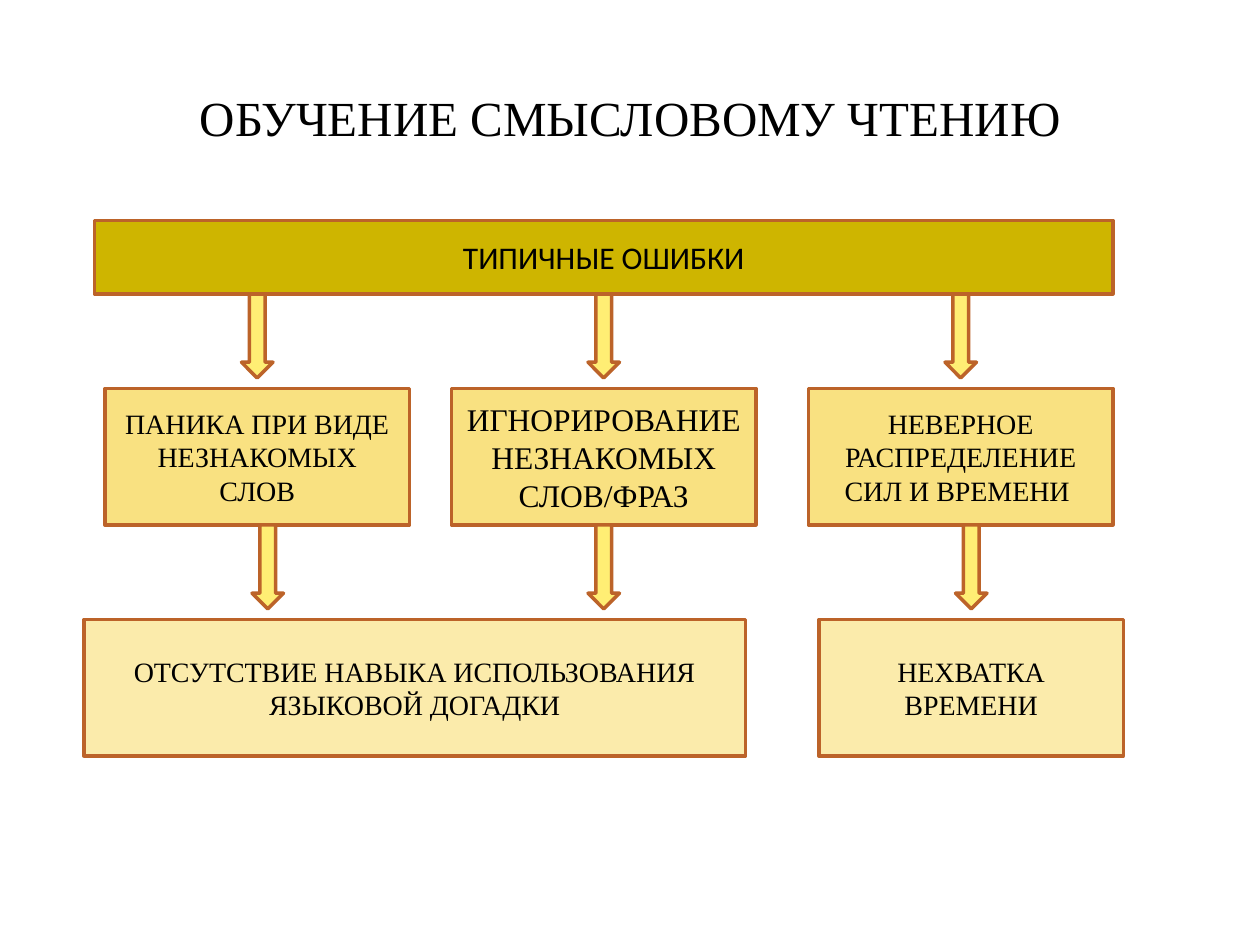
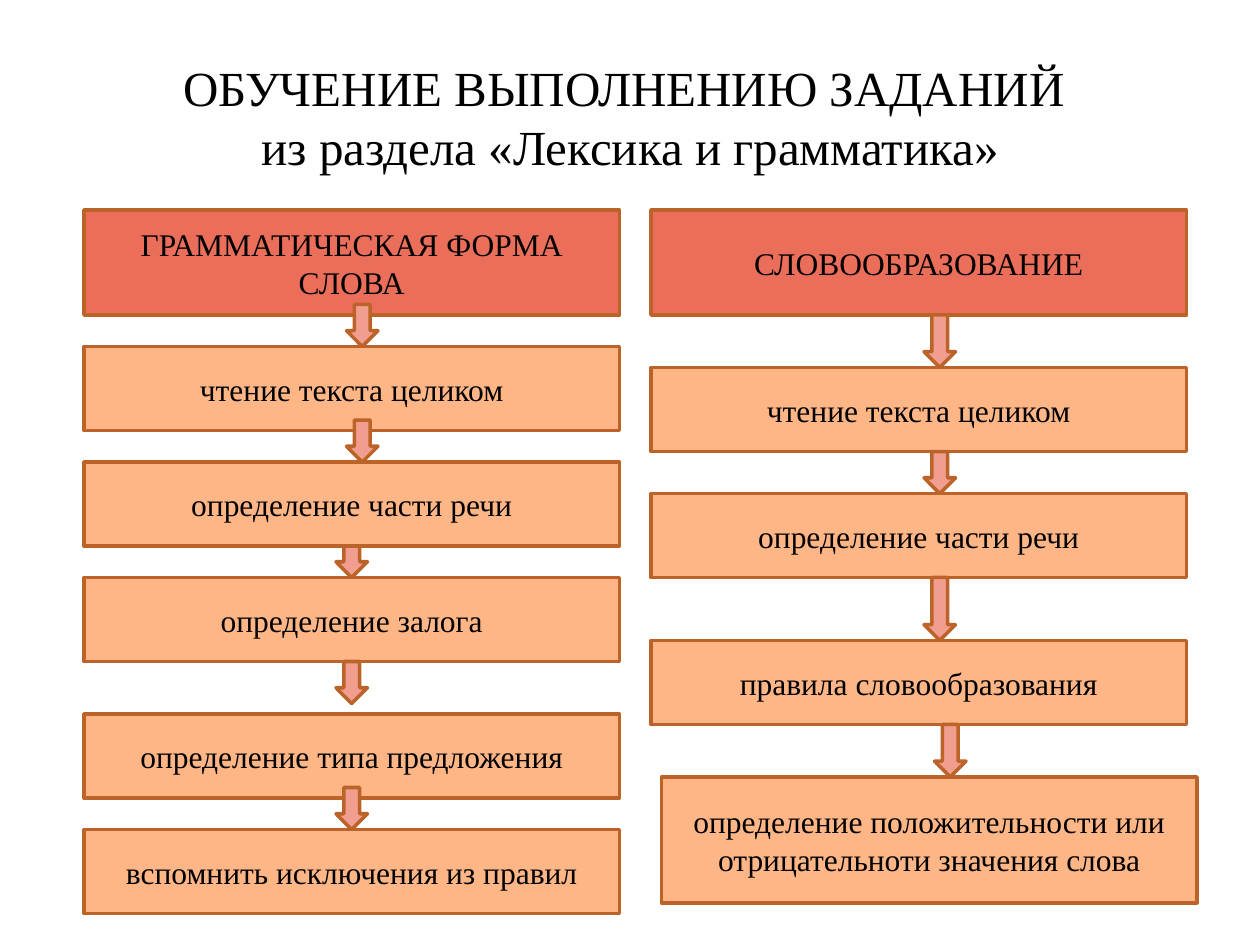
from collections import namedtuple

from pptx import Presentation
from pptx.dml.color import RGBColor
from pptx.enum import shapes, text
from pptx.util import Pt

# Shared look
BLACK = RGBColor(0x00, 0x00, 0x00)
OUTLINE = RGBColor(0xBC, 0x63, 0x29)
GOLD = RGBColor(0xCE, 0xB5, 0x00)
SAND = RGBColor(0xF9, 0xE1, 0x81)
CREAM = RGBColor(0xFB, 0xEB, 0xAB)
YELLOW = RGBColor(0xFF, 0xEE, 0x74)
CORAL = RGBColor(0xEB, 0x6E, 0x5A)
PEACH = RGBColor(0xFE, 0xB6, 0x87)
PINK = RGBColor(0xF1, 0x9E, 0x91)
SERIF = "Times New Roman"
SANS = "Calibri"
ARROW_WIDTH = 18

Box = namedtuple("Box", "left top width height")
# An arrow's start and shift are measured from the bottom and middle of its box
Arrow = namedtuple("Arrow", "start length shift behind", defaults=[False])
Step = namedtuple("Step", "words left top height arrow")


def write(shape, lines, size, font=SERIF):
    frame = shape.text_frame
    frame.word_wrap = True
    frame.vertical_anchor = text.MSO_ANCHOR.MIDDLE
    paragraph = frame.paragraphs[0]
    paragraph.alignment = text.PP_ALIGN.CENTER
    for index, line in enumerate(lines):
        if index:
            paragraph.add_line_break()
        run = paragraph.add_run()
        run.text = line
        run.font.name = font
        run.font.size = Pt(size)
        run.font.color.rgb = BLACK


def add_outlined(slide, kind, box, fill):
    shape = slide.shapes.add_shape(kind, *(Pt(length) for length in box))
    shape.shadow.inherit = False
    shape.fill.solid()
    shape.fill.fore_color.rgb = fill
    shape.line.color.rgb = OUTLINE
    shape.line.width = Pt(2)
    return shape


def add_box(slide, box, fill, words, size=18, font=SERIF):
    shape = add_outlined(slide, shapes.MSO_SHAPE.RECTANGLE, box, fill)
    write(shape, [words], size, font)


def add_arrow(slide, source, arrow, fill):
    left = source.left + (source.width - ARROW_WIDTH) / 2 + arrow.shift
    top = source.top + source.height + arrow.start
    box = Box(left, top, ARROW_WIDTH, arrow.length)
    add_outlined(slide, shapes.MSO_SHAPE.DOWN_ARROW, box, fill)


def add_title_slide(presentation, *lines):
    slide = presentation.slides.add_slide(presentation.slide_layouts[6])
    title = slide.shapes.add_textbox(Pt(36), Pt(21.6), Pt(648), Pt(90))
    write(title, lines, 28)
    return slide


def draw_mistakes(slide, area):
    """Banner, three mistakes below it, and what they lead to."""
    row_height, arrow_length = 78, 48

    # Banner
    banner = Box(area.left + 6, area.top, area.width - 12, 42)
    add_box(slide, banner, GOLD, "ТИПИЧНЫЕ ОШИБКИ", font=SANS)

    # Mistakes, each with an arrow in and an arrow out
    mistakes = [
        ("ПАНИКА ПРИ ВИДЕ НЕЗНАКОМЫХ СЛОВ", 12, 16, 6),
        ("ИГНОРИРОВАНИЕ НЕЗНАКОМЫХ СЛОВ/ФРАЗ", 210, 18, 0),
        ("НЕВЕРНОЕ РАСПРЕДЕЛЕНИЕ СИЛ И ВРЕМЕНИ ", 414, 16, 6),
    ]
    for words, offset, size, shift in mistakes:
        box = Box(area.left + offset, area.top + 96, 174, row_height)
        add_box(slide, box, SAND, words, size)
        above = box._replace(top=banner.top, height=banner.height)
        add_arrow(slide, above, Arrow(0, arrow_length, 0), YELLOW)
        add_arrow(slide, box, Arrow(0, arrow_length, shift), YELLOW)

    # Consequences
    consequences = [
        ("ОТСУТСТВИЕ НАВЫКА ИСПОЛЬЗОВАНИЯ ЯЗЫКОВОЙ ДОГАДКИ", 0, 378),
        ("НЕХВАТКА ВРЕМЕНИ", 420, 174),
    ]
    for words, offset, width in consequences:
        box = Box(area.left + offset, area.top + area.height - row_height,
                  width, row_height)
        add_box(slide, box, CREAM, words, 16)


def draw_steps(slide, area, heading, heading_arrow, steps):
    """Heading and a column of steps joined by arrows."""
    column = [Step(heading, 0, 0, 60, heading_arrow), *steps]
    for index, step in enumerate(column):
        box = Box(area.left + step.left, area.top + step.top,
                  area.width, step.height)
        if step.arrow and step.arrow.behind:
            add_arrow(slide, box, step.arrow, PINK)
        add_box(slide, box, PEACH if index else CORAL, step.words)
        if step.arrow and not step.arrow.behind:
            add_arrow(slide, box, step.arrow, PINK)


presentation = Presentation()
presentation.slide_width = Pt(720)
presentation.slide_height = Pt(540)

# Slide 1: reading
reading = add_title_slide(presentation, "ОБУЧЕНИЕ СМЫСЛОВОМУ ЧТЕНИЮ")
draw_mistakes(reading, Box(48, 126, 594, 306))

# Slide 2: vocabulary and grammar
grammar = add_title_slide(presentation, "ОБУЧЕНИЕ ВЫПОЛНЕНИЮ ЗАДАНИЙ ",
                          "из раздела «Лексика и грамматика»")
draw_steps(grammar, Box(48, 120, 306, 402),
           "ГРАММАТИЧЕСКАЯ ФОРМА СЛОВА", Arrow(-6, 24, 6), [
    Step("чтение текста целиком", 0, 78, 48, Arrow(-6, 24, 6)),
    Step("определение части речи", 0, 144, 48, Arrow(-6, 24, 0, True)),
    Step("определение залога", 0, 210, 48, Arrow(0, 24, 0)),
    Step("определение типа предложения", 0, 288, 48, Arrow(-6, 24, 0)),
    Step("вспомнить исключения из правил", 0, 354, 48, None),
])
draw_steps(grammar, Box(372, 120, 306, 396),
           "СЛОВООБРАЗОВАНИЕ", Arrow(0, 30, 12), [
    Step("чтение текста целиком", 0, 90, 48, Arrow(0, 24, 12)),
    Step("определение части речи", 0, 162, 48, Arrow(0, 36, 12)),
    Step("правила словообразования", 0, 246, 48, Arrow(0, 30, 18)),
    Step("определение положительности или отрицательноти значения слова",
         6, 324, 72, None),
])

presentation.save("out.pptx")
